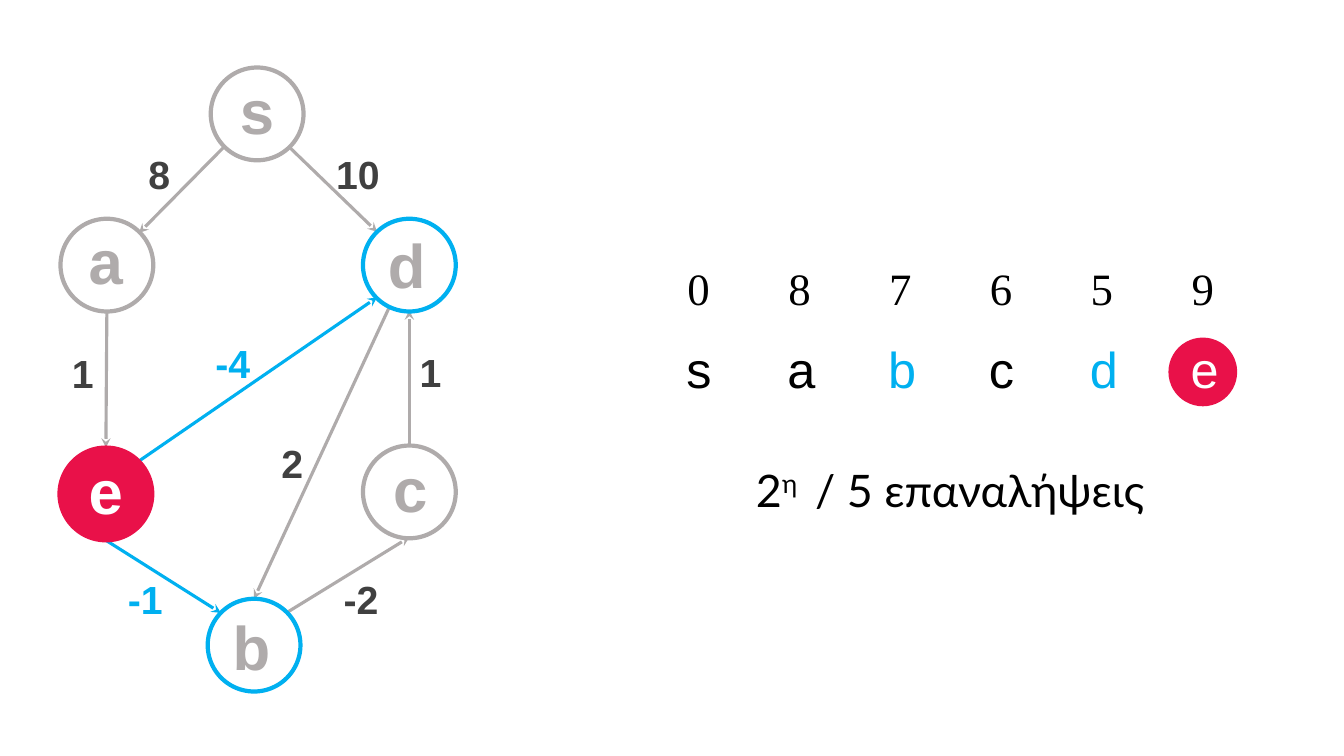
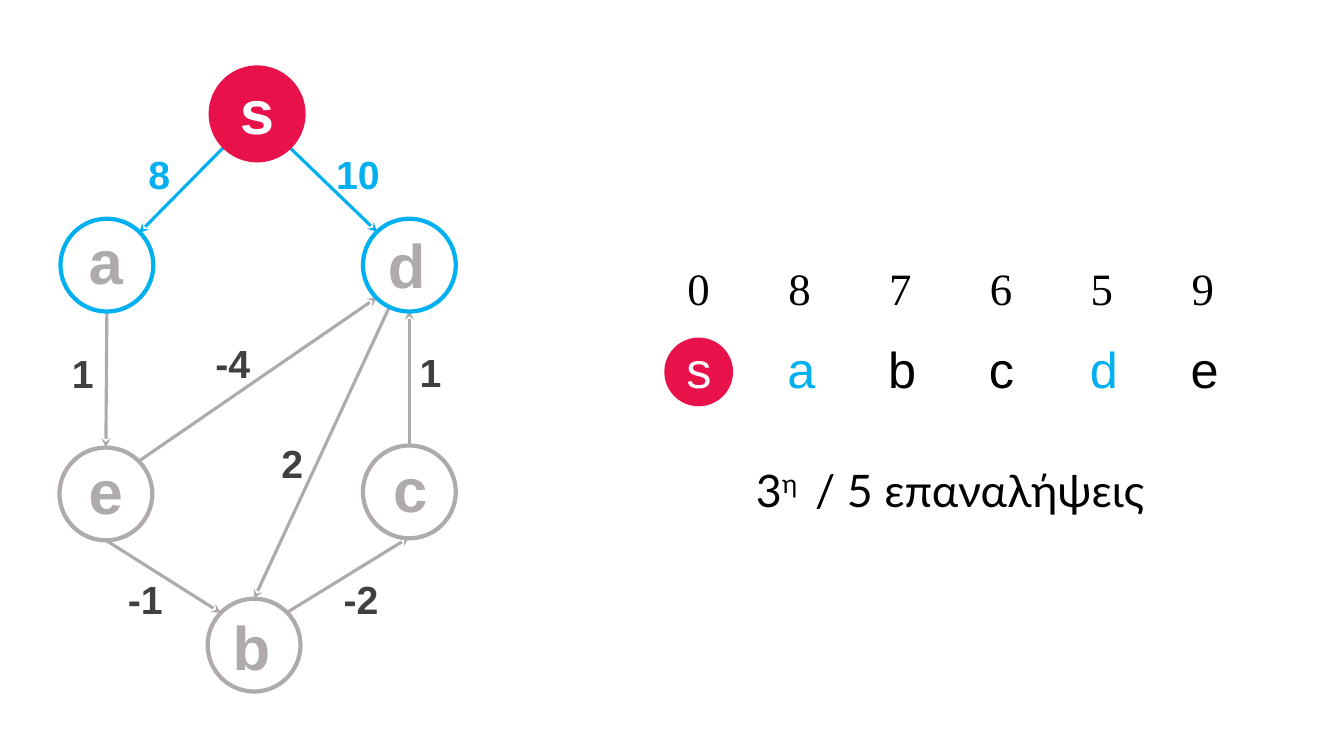
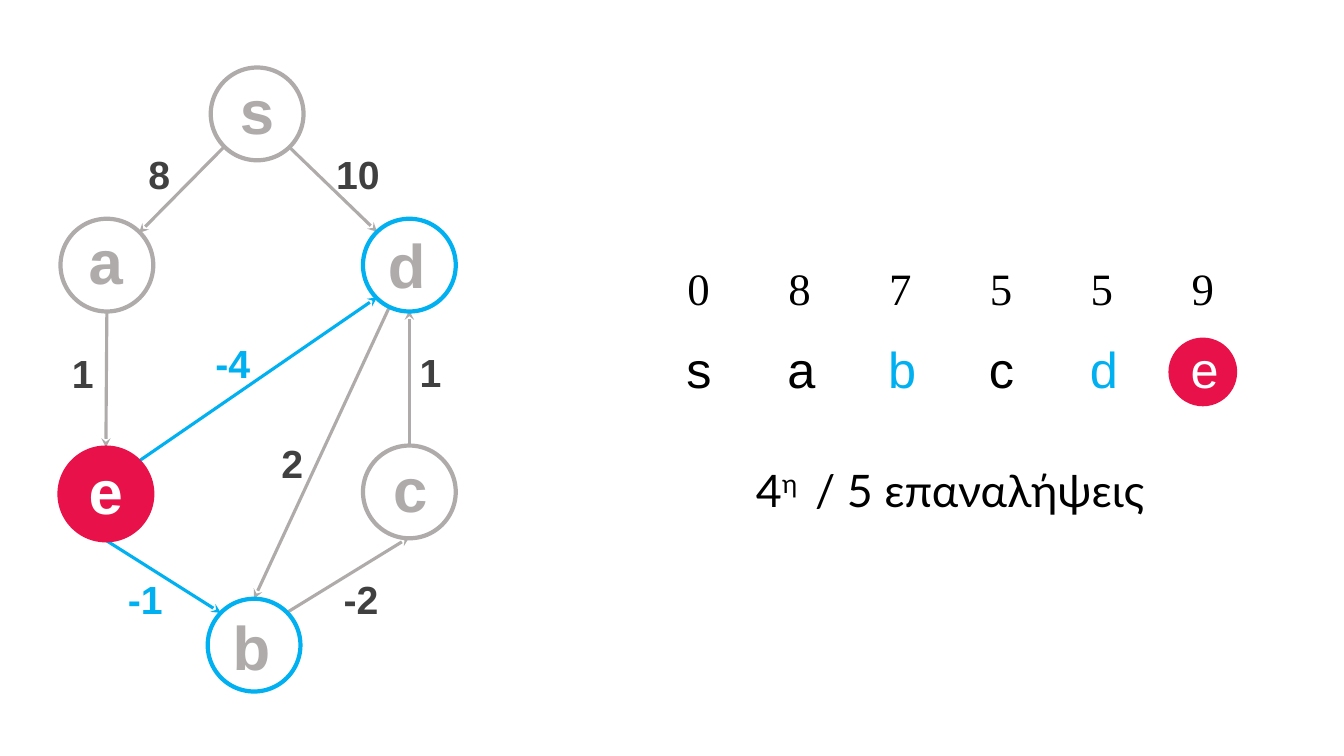
from typing import NamedTuple

from lxml.etree import SubElement
from pptx import Presentation
from pptx.dml.color import RGBColor
from pptx.enum.shapes import MSO_CONNECTOR, MSO_SHAPE
from pptx.enum.text import MSO_AUTO_SIZE, PP_ALIGN
from pptx.oxml.ns import qn
from pptx.util import Pt

EMU_PER_PX = 9144  # 100 px to the inch

GRAY = RGBColor(0xAF, 0xAB, 0xAB)
DARK = RGBColor(0x40, 0x40, 0x40)
BLACK = RGBColor(0x00, 0x00, 0x00)
WHITE = RGBColor(0xFF, 0xFF, 0xFF)
BLUE = RGBColor(0x00, 0xB0, 0xF0)
RED = RGBColor(0xE9, 0x11, 0x49)

NODE_SIZE = 92
MARKER_SIZE = 64
COLUMN_STEP = 100
ORDER = "sabcde"


class Box(NamedTuple):
    left: int
    top: int
    width: int
    height: int

    def inner(self, left, top, width, height):
        return Box(self.left + left, self.top + top, width, height)


GRAPH_BOX = Box(47, 67, 415, 619)
DISTANCE_BOX = Box(661, 254, 607, 147)
STATUS_BOX = Box(740, 454, 410, 63)

# Node: circle corner, letter corner, within the graph
NODES = {
    "s": ((162, 0), (181, 0)),
    "a": ((13, 150), (31, 149)),
    "d": ((313, 150), (328, 153)),
    "e": ((12, 377), (31, 377)),
    "c": ((313, 375), (333, 375)),
    "b": ((159, 527), (174, 532)),
}

# Edge: source, target, weight, start, end, weight corner
EDGES = [
    ("s", "a", "8", (175, 79), (91, 164), (76, 77)),
    ("s", "d", "10", (240, 79), (327, 163), (273, 77)),
    ("a", "e", "1", (59, 242), (58, 377), (0, 275)),
    ("e", "d", "-4", (90, 391), (327, 228), (149, 265)),
    ("d", "b", "2", (339, 238), (205, 527), (208, 364)),
    ("e", "b", "-1", (58, 469), (172, 541), (62, 499)),
    ("b", "c", "-2", (237, 541), (359, 466), (276, 499)),
    ("c", "d", "1", (359, 375), (359, 241), (345, 274)),
]

# Iteration number, active node, distances in the order of the nodes
ITERATIONS = [
    ("2", "e", "087659"),
    ("3", "s", "087659"),
    ("4", "e", "087559"),
]


def px(*lengths):
    return [length * EMU_PER_PX for length in lengths]


def add_text(slide, box, text, *, size, font="Arial", color=BLACK, bold=False,
             align=PP_ALIGN.LEFT, tab_step=None):
    """Add a text box; text is a string or a list of (string, color, baseline)."""
    shape = slide.shapes.add_textbox(*px(*box))
    frame = shape.text_frame
    frame.word_wrap = True
    frame.auto_size = MSO_AUTO_SIZE.SHAPE_TO_FIT_TEXT
    paragraph = frame.paragraphs[0]
    paragraph.alignment = align
    if tab_step:
        tabs = SubElement(paragraph._p.get_or_add_pPr(), qn("a:tabLst"))
        for column in range(1, len(ORDER)):
            position, = px(column * tab_step)
            SubElement(tabs, qn("a:tab"), pos=str(position), algn="l")
    for part, part_color, baseline in [(text, color, 0)] if isinstance(text, str) else text:
        run = paragraph.add_run()
        run.text = part
        run.font.size = Pt(size)
        run.font.name = font
        run.font.bold = bold
        run.font.color.rgb = part_color
        if baseline:
            run._r.get_or_add_rPr().set("baseline", str(baseline * 1000))


def add_circle(slide, box, color, filled=False):
    shape = slide.shapes.add_shape(MSO_SHAPE.OVAL, *px(*box))
    shape.shadow.inherit = False
    shape.line.color.rgb = color
    shape.line.width = Pt(3)
    if filled:
        shape.fill.solid()
        shape.fill.fore_color.rgb = color
    else:
        shape.fill.background()


def add_arrow(slide, start, end, color):
    connector = slide.shapes.add_connector(MSO_CONNECTOR.STRAIGHT, *px(*start, *end))
    connector.line.color.rgb = color
    connector.line.width = Pt(2.25)
    SubElement(connector.line._get_or_add_ln(), qn("a:tailEnd"), type="stealth")
    SubElement(connector._element.spPr, qn("a:effectLst"))


def neighbours(active):
    return {target for source, target, *_ in EDGES if source == active}


def draw_graph(slide, box, active):
    # Edges leaving the active node are highlighted
    for source, _, weight, start, end, corner in EDGES:
        relaxed = source == active
        add_arrow(slide, box.inner(*start, 0, 0)[:2], box.inner(*end, 0, 0)[:2],
                  BLUE if relaxed else GRAY)
        add_text(slide, box.inner(*corner, 70, 57), weight, size=28, bold=True,
                 color=BLUE if relaxed else DARK, align=PP_ALIGN.CENTER)
    # Nodes with their letters
    reached = neighbours(active)
    for name, (circle, letter) in NODES.items():
        color = RED if name == active else BLUE if name in reached else GRAY
        add_circle(slide, box.inner(*circle, NODE_SIZE, NODE_SIZE), color,
                   filled=name == active)
        add_text(slide, box.inner(*letter, 50, 83), name, size=44, bold=True,
                 color=WHITE if name == active else GRAY)


def draw_distances(slide, box, active, distances):
    # Distance row
    add_text(slide, box.inner(11, 0, 596, 63), "\t".join(distances), size=32,
             font="Times New Roman", tab_step=COLUMN_STEP)
    # Marker behind the active node's letter
    marker_left = ORDER.index(active) * COLUMN_STEP
    add_circle(slide, box.inner(marker_left, 83, MARKER_SIZE, MARKER_SIZE), RED, filled=True)
    # Node row
    reached = neighbours(active)
    letters = []
    for name in ORDER:
        color = WHITE if name == active else BLUE if name in reached else BLACK
        letters.append((name if name == ORDER[-1] else name + "\t", color, 0))
    add_text(slide, box.inner(10, 77, 562, 70), letters, size=36, tab_step=COLUMN_STEP)


def draw_status(slide, box, number):
    parts = [(number, BLACK, 0), ("η ", BLACK, 30), (" / 5 επαναλήψεις", BLACK, 0)]
    add_text(slide, box, parts, size=32, font="Lato")


def main():
    presentation = Presentation()
    presentation.slide_width, presentation.slide_height = px(1333, 750)
    for number, active, distances in ITERATIONS:
        slide = presentation.slides.add_slide(presentation.slide_layouts[6])
        draw_graph(slide, GRAPH_BOX, active)
        draw_distances(slide, DISTANCE_BOX, active, distances)
        draw_status(slide, STATUS_BOX, number)
    presentation.save("out.pptx")


if __name__ == "__main__":
    main()
